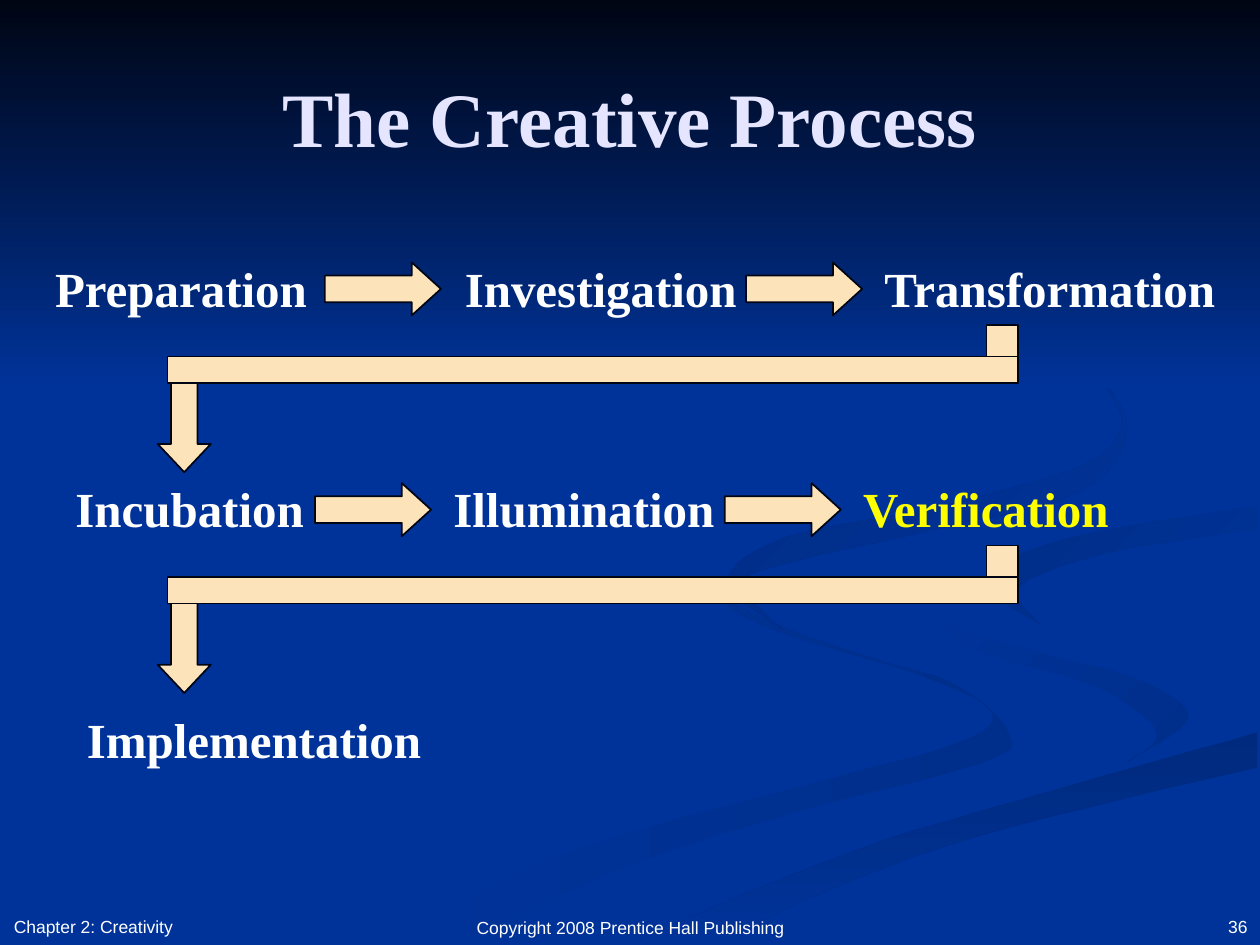
from dataclasses import dataclass
from typing import Optional

from pptx import Presentation
from pptx.dml.color import RGBColor
from pptx.enum.shapes import MSO_SHAPE
from pptx.enum.text import MSO_ANCHOR, MSO_AUTO_SIZE, PP_ALIGN
from pptx.util import Cm, Pt

RIGHT_ARROW = MSO_SHAPE.RIGHT_ARROW
DOWN_ARROW = MSO_SHAPE.DOWN_ARROW
RECTANGLE = MSO_SHAPE.RECTANGLE
LEFT, CENTER, RIGHT = PP_ALIGN.LEFT, PP_ALIGN.CENTER, PP_ALIGN.RIGHT
TOP, MIDDLE, BOTTOM = MSO_ANCHOR.TOP, MSO_ANCHOR.MIDDLE, MSO_ANCHOR.BOTTOM
FIT_SHAPE = MSO_AUTO_SIZE.SHAPE_TO_FIT_TEXT

COLORS = {
    "blue": "003399", "navy": "000514", "title": "E5E5FF", "white": "FFFFFF",
    "yellow": "FFFF00", "cream": "FDE3BA", "ribbon": "002E8B",
    "road": "002A7D", "branch": "002D86", "loop": "002B82",
}
SERIF, SANS = "Times New Roman", "Arial"
POINT_SCALE = Cm(0.0254)
CURVE_STEPS = 5
Point = tuple[float, float]


@dataclass
class Swirl:
    start: str
    end: str
    angle: int
    edges: list[list[Point]]


@dataclass
class Step:
    text: str
    left: float
    width: float
    arrow_left: Optional[float] = None
    color: str = "white"


@dataclass
class Row:
    top: float
    steps: list[Step]
    turns: bool = True


@dataclass
class Label:
    text: str
    left: float
    top: float
    width: float
    height: float
    align: PP_ALIGN
    anchor: MSO_ANCHOR = BOTTOM
    wrap: bool = True


SWIRLS = [
    Swirl("blue", "ribbon", 0, [
        [(574, 459), (594, 485), (682, 519), (757, 543), (800, 581), (780, 605),
         (623, 647), (499, 687), (361, 749)],
        [(300, 749), (458, 674), (652, 620), (767, 587), (785, 562), (728, 535),
         (611, 499), (572, 476), (574, 459)]]),
    Swirl("blue", "ribbon", 45, [
        [(724, 464), (758, 498), (830, 519), (905, 540), (943, 570), (894, 605)],
        [(894, 605), (918, 581), (868, 544), (766, 512), (724, 464)]]),
    Swirl("road", "blue", 90, [
        [(503, 749), (569, 719), (696, 669), (831, 629), (998, 581)],
        [(998, 609), (785, 661), (649, 710), (571, 749)]]),
    Swirl("branch", "blue", 45, [
        [(998, 402), (849, 427), (781, 460), (826, 496)],
        [(826, 496), (809, 466), (878, 439), (998, 420)]]),
    Swirl("loop", "blue", 45, [
        [(762, 233), (864, 291), (894, 344), (855, 391), (739, 421), (606, 452),
         (593, 470), (622, 500)],
        [(622, 500), (577, 462), (625, 426), (763, 398), (876, 360), (876, 306),
         (762, 233)]]),
]
ROWS = [
    Row(5.08, [Step("Preparation", 0.86, 5.59, 6.55),
               Step("Investigation", 9.12, 5.99, 15.04),
               Step("Transformation", 17.58, 7.24)]),
    Row(9.53, [Step("Incubation", 1.27, 5.11, 6.35),
               Step("Illumination", 8.89, 5.77, 14.61),
               Step("Verification", 17.15, 5.54, color="yellow")]),
    Row(14.17, [Step("Implementation", 1.5, 7.24)], turns=False),
]
LABELS = [
    Label("Copyright 2008 Prentice Hall Publishing", 9.35, 18.36, 6.71, 0.69,
          CENTER, TOP, False),
    Label("36", 19.48, 17.7, 5.92, 1.32, RIGHT),
    Label("Chapter 2: Creativity", 0.03, 17.7, 8.05, 1.32, LEFT),
]


def rgb(name: str) -> RGBColor:
    return RGBColor.from_string(COLORS[name])


def format_text(box, size: int, font: str, color: str, bold: bool, align: PP_ALIGN) -> None:
    para = box.text_frame.paragraphs[0]
    para.alignment = align
    for span in para.runs:
        span.font.size = Pt(size)
        span.font.name = font
        span.font.bold = bold
        span.font.color.rgb = rgb(color)


def smooth_edge(knots: list[Point]) -> list[Point]:
    padded = [knots[0], *knots, knots[-1]]
    curve = []
    for before, start, end, after in zip(padded, padded[1:], padded[2:], padded[3:]):
        for step in range(CURVE_STEPS):
            t = step / CURVE_STEPS
            curve.append(tuple(
                b + t * (c - a + t * (2 * a - 5 * b + 4 * c - d
                                      + t * (3 * b - a - 3 * c + d))) / 2
                for a, b, c, d in zip(before, start, end, after)))
    return curve + [knots[-1]]


def fade(shape, start: str, end: str, angle: int) -> None:
    shape.shadow.inherit = False
    shape.line.fill.background()
    shape.fill.gradient()
    shape.fill.gradient_angle = -angle % 360
    for stop, name in zip(shape.fill.gradient_stops, (start, end)):
        stop.color.rgb = rgb(name)


def draw_swirl(page, swirl: Swirl) -> None:
    points = [point for edge in swirl.edges for point in smooth_edge(edge)]
    builder = page.shapes.build_freeform(*points[0], scale=POINT_SCALE)
    builder.add_line_segments(points[1:], close=True)
    fade(builder.convert_to_shape(), swirl.start, swirl.end, swirl.angle)


def draw_block(page, kind: MSO_SHAPE, left: float, top: float, width: float,
               height: float, head: Optional[float] = None) -> None:
    shape = page.shapes.add_shape(kind, Cm(left), Cm(top), Cm(width), Cm(height))
    shape.shadow.inherit = False
    shape.fill.solid()
    shape.fill.fore_color.rgb = rgb("cream")
    shape.line.color.rgb = rgb("navy")
    shape.line.width = Pt(1)
    if head is not None:
        shape.adjustments[0] = 0.5
        shape.adjustments[1] = head


def draw_label(page, label: Label, size: int = 10, font: str = SANS,
               color: str = "white", bold: bool = False) -> None:
    box = page.shapes.add_textbox(Cm(label.left), Cm(label.top),
                                  Cm(label.width), Cm(label.height))
    frame = box.text_frame
    frame.text = label.text
    frame.word_wrap = label.wrap
    frame.vertical_anchor = label.anchor
    if not label.wrap:
        frame.auto_size = FIT_SHAPE
    format_text(box, size, font, color, bold, label.align)


def draw_row(page, row: Row) -> None:
    for step in row.steps:
        label = Label(step.text, step.left, row.top, step.width, 1.45, LEFT, TOP, False)
        draw_label(page, label, 28, SERIF, step.color, True)
        if step.arrow_left is not None:
            draw_block(page, RIGHT_ARROW, step.arrow_left, row.top + 0.21, 2.34, 1.07, 0.55)
    if row.turns:
        draw_block(page, DOWN_ARROW, 3.18, row.top + 2.18, 1.07, 2.26, 0.53)
        draw_block(page, RECTANGLE, 19.89, row.top + 1.47, 0.64, 0.84)
        draw_block(page, RECTANGLE, 3.38, row.top + 2.11, 17.15, 0.53)


def main() -> None:
    deck = Presentation()
    deck.slide_width, deck.slide_height = Cm(25.4), Cm(19.05)
    page = deck.slides.add_slide(deck.slide_layouts[5])
    page.background.fill.solid()
    page.background.fill.fore_color.rgb = rgb("blue")
    for swirl in SWIRLS:
        draw_swirl(page, swirl)
    sky = page.shapes.add_shape(RECTANGLE, 0, 0, deck.slide_width, Cm(7.82))
    fade(sky, "navy", "blue", 90)

    title = page.shapes.title
    page.shapes._spTree.append(title._element)
    title.left, title.top, title.width, title.height = Cm(1.27), Cm(0.76), Cm(22.86), Cm(3.18)
    title.text_frame.text = "The Creative Process"
    title.text_frame.vertical_anchor = MIDDLE
    format_text(title, 44, SERIF, "title", True, CENTER)

    for label in LABELS:
        draw_label(page, label)
    for row in ROWS:
        draw_row(page, row)
    deck.save("out.pptx")


if __name__ == "__main__":
    main()
